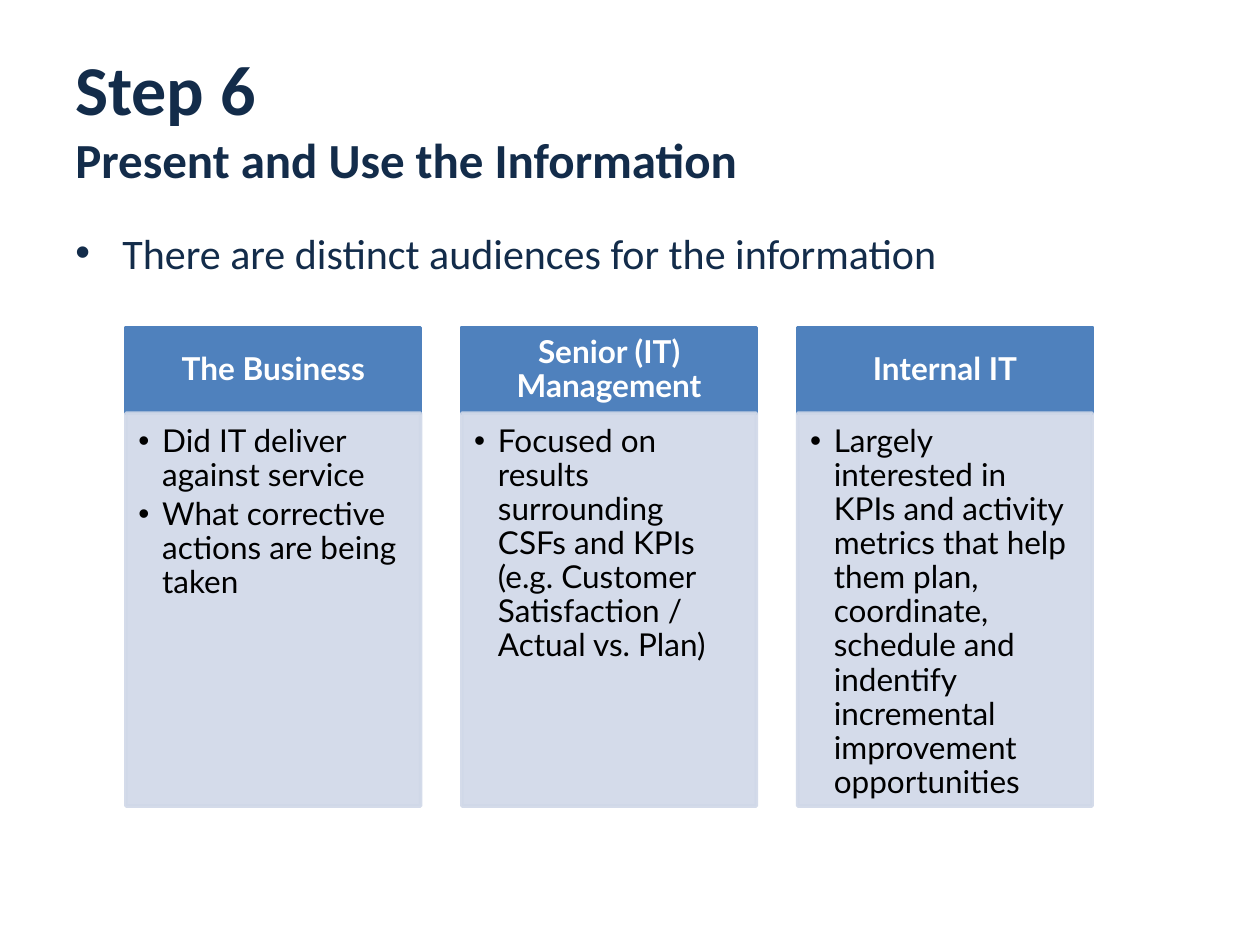
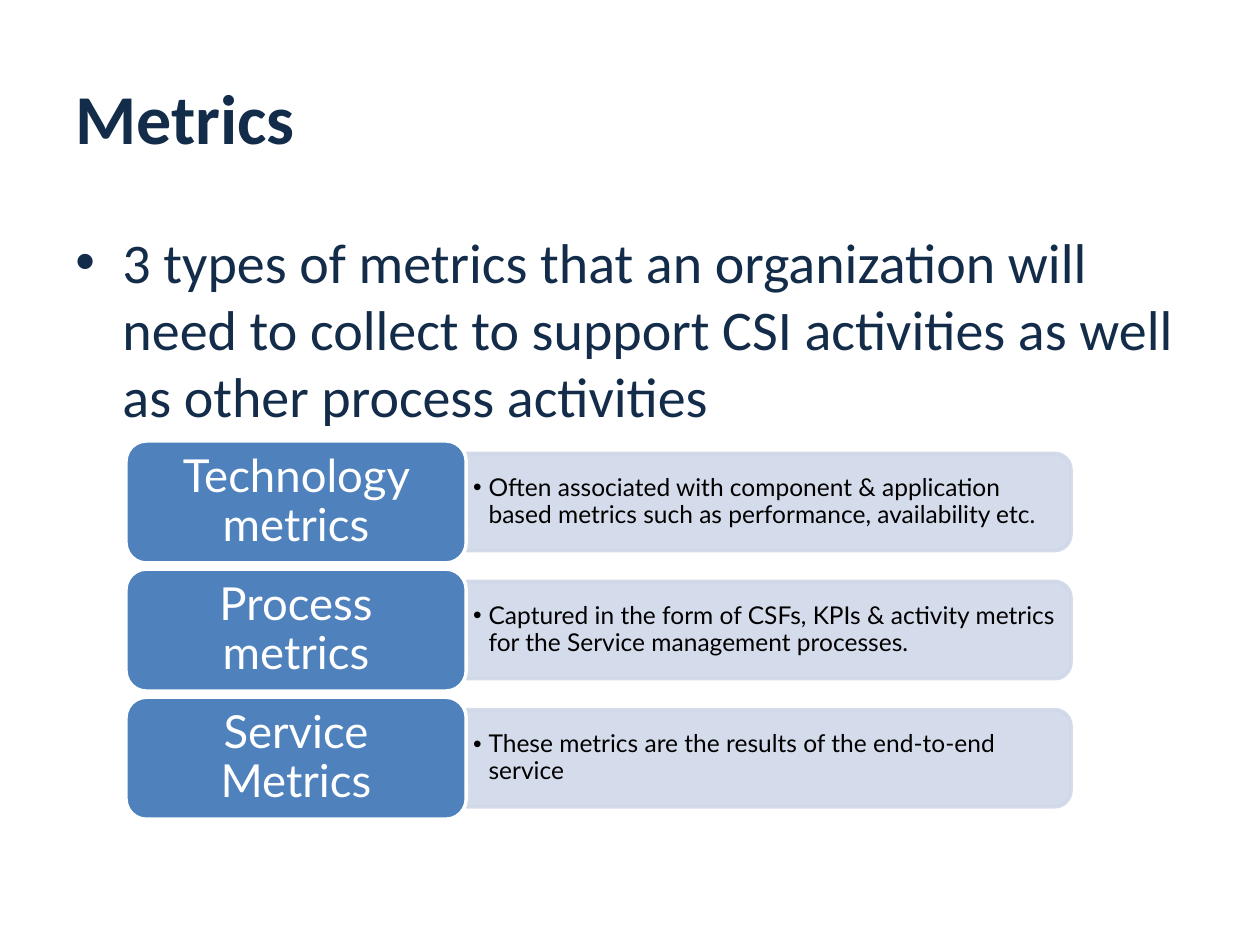
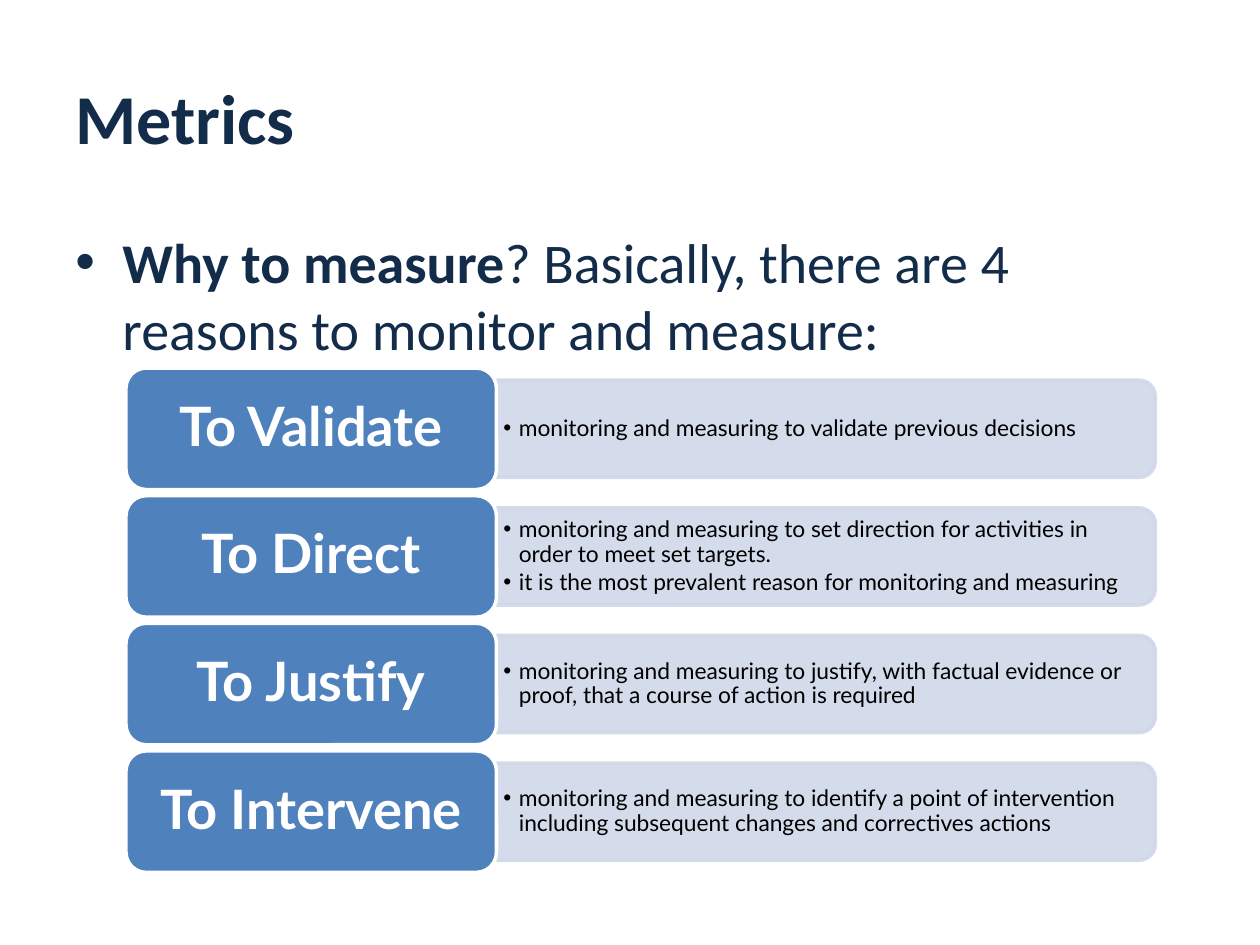
import pptx
import pptx.util
import pptx.dml.color
import pptx.enum.shapes
import pptx.enum.text
import pptx.oxml.ns
from lxml import etree

Cm = pptx.util.Cm
Pt = pptx.util.Pt
SHAPES = pptx.enum.shapes.MSO_SHAPE
ALIGN = pptx.enum.text.PP_ALIGN
ANCHOR = pptx.enum.text.MSO_ANCHOR
qn = pptx.oxml.ns.qn

NAVY, BLUE, PALE, WHITE, BLACK = "132C4A", "4F81BD", "D0D8E8", "FFFFFF", "000000"
HEADING_FONT, DIAGRAM_FONT = "Calibri", "Lato"
DIAGRAM_LEFT = 2.54

AUDIENCES = [
    ("The Business", ["Did IT deliver against service",
                      "What corrective actions are being taken"]),
    ("Senior (IT) Management", ["Focused on results surrounding CSFs and KPIs "
                                "(e.g. Customer Satisfaction / Actual vs. Plan)"]),
    ("Internal IT", ["Largely interested in KPIs and activity metrics that help them plan, coordinate, "
                     "schedule and indentify incremental improvement opportunities"]),
]
METRIC_TYPES = [
    ("Technology metrics", ["Often associated with component & application based metrics "
                            "such as performance, availability etc."]),
    ("Process metrics", ["Captured in the form of CSFs, KPIs & activity metrics "
                         "for the Service management processes."]),
    ("Service Metrics", ["These metrics are the results of the end-to-end service"]),
]
REASONS = [
    ("To Validate", ["monitoring and measuring to validate previous decisions"]),
    ("To Direct", ["monitoring and measuring to set direction for activities in order to meet set targets.",
                   "it is the most prevalent reason for monitoring and measuring"]),
    ("To Justify", ["monitoring and measuring to justify, with factual evidence or proof, "
                    "that a course of action is required"]),
    ("To Intervene", ["monitoring and measuring to identify a point of intervention "
                      "including subsequent changes and correctives actions"]),
]


def paint(color_format, color, opacity=100):
    color_format.solid()
    color_format.fore_color.rgb = pptx.dml.color.RGBColor.from_string(color)
    if opacity < 100:
        for tone in color_format._xPr.iter(qn("a:srgbClr")):
            etree.SubElement(tone, qn("a:alpha"), val=str(opacity * 1000))


def add_panel(slide, kind, left, top, width, height, fill, line, opacity=100):
    panel = slide.shapes.add_shape(kind, Cm(left), Cm(top), Cm(width), Cm(height))
    panel.shadow.inherit = False
    panel.line.width = Pt(2)
    paint(panel.fill, fill, opacity)
    paint(panel.line.fill, line, opacity)
    return panel


def add_text_area(slide, left, top, width, height):
    return slide.shapes.add_textbox(Cm(left), Cm(top), Cm(width), Cm(height))


def add_bullet(paragraph, indent):
    properties = paragraph._p.get_or_add_pPr()
    properties.set("marL", str(Cm(indent)))
    properties.set("indent", str(-Cm(indent)))
    etree.SubElement(properties, qn("a:buFont"), typeface="Arial")
    etree.SubElement(properties, qn("a:buChar"), char="•")


def write(holder, paragraphs, size, font=DIAGRAM_FONT, color=BLACK, bold=False, align=ALIGN.LEFT,
          anchor=ANCHOR.TOP, insets=(0.25, 0.13, 0.25, 0.13), spacing=None, after=0, indent=None):
    frame = holder.text_frame
    frame.word_wrap = True
    frame.vertical_anchor = anchor
    frame.margin_left, frame.margin_top, frame.margin_right, frame.margin_bottom = map(Cm, insets)
    for index, runs in enumerate(paragraphs):
        paragraph = frame.add_paragraph() if index else frame.paragraphs[0]
        paragraph.alignment = align
        if spacing:
            paragraph.line_spacing = spacing
        if after:
            paragraph.space_after = Pt(after)
        if indent:
            add_bullet(paragraph, indent)
        for piece in [(runs, {})] if isinstance(runs, str) else runs:
            words, changes = piece
            if words == "\n":
                paragraph.add_line_break()
                continue
            run = paragraph.add_run()
            run.text = words
            run.font.name = font
            run.font.size = Pt(changes.get("size", size))
            run.font.bold = changes.get("bold", bold)
            paint(run.font.fill, color)


def start_slide(deck, title, lead, lead_size):
    slide = deck.slides.add_slide(deck.slide_layouts[6])
    write(add_text_area(slide, 1.27, 0.76, 22.86, 3.18), [title], 40, font=HEADING_FONT,
          color=NAVY, bold=True, anchor=ANCHOR.MIDDLE)
    write(add_text_area(slide, 1.27, 4.45, 22.86, 12.07), [lead], lead_size, font=HEADING_FONT,
          color=NAVY, indent=0.95)
    return slide


def add_audience_columns(slide, audiences):
    width, pitch = 5.94, 6.77
    top, header_height, body_height = 6.6, 1.73, 7.92
    for column, (audience, interests) in enumerate(audiences):
        left = DIAGRAM_LEFT + column * pitch
        header = add_panel(slide, SHAPES.RECTANGLE, left, top, width, header_height, BLUE, BLUE)
        write(header, [audience], 18, color=WHITE, bold=True, align=ALIGN.CENTER,
              anchor=ANCHOR.MIDDLE, insets=(0.36, 0.2, 0.36, 0.2), spacing=0.9)
        body = add_panel(slide, SHAPES.RECTANGLE, left, top + header_height, width, body_height,
                         PALE, PALE, 90)
        write(body, interests, 18, insets=(0.25, 0.25, 0.36, 0.41), spacing=0.9, after=2.5, indent=0.48)


def add_label_rows(slide, rows, top, label_width, label_height, detail_width,
                   label_size, detail_size, bold=False):
    detail_height = 1.96
    detail_left = DIAGRAM_LEFT + label_width
    for row, (label, details) in enumerate(rows):
        label_top = top + row * label_height * 1.05
        middle = label_top + label_height / 2
        band = add_panel(slide, SHAPES.ROUND_2_SAME_RECTANGLE,
                         detail_left + (detail_width - detail_height) / 2, middle - detail_width / 2,
                         detail_height, detail_width, PALE, PALE, 90)
        band.rotation = 90
        write(add_text_area(slide, detail_left, middle - 0.89, detail_width - 0.1, 1.78), details,
              detail_size, anchor=ANCHOR.MIDDLE, insets=(0.14, 0.08, 0.14, 0.08),
              spacing=0.9, after=2, indent=0.31)
        tab = add_panel(slide, SHAPES.ROUNDED_RECTANGLE, DIAGRAM_LEFT, label_top,
                        label_width, label_height, BLUE, WHITE)
        write(tab, [label], label_size, color=WHITE, bold=bold, align=ALIGN.CENTER,
              anchor=ANCHOR.MIDDLE, insets=(0.28, 0.14, 0.28, 0.14), spacing=0.9)


def main():
    deck = pptx.Presentation()
    deck.slide_width, deck.slide_height = Cm(25.4), Cm(19.05)

    step = start_slide(deck, [("Step 6", {}), ("\n", {}), ("Present and Use the Information", {"size": 28})],
                       "There are distinct audiences for the information", 24)
    add_audience_columns(step, AUDIENCES)

    types = start_slide(deck, "Metrics", "3 types of metrics that an organization will need to collect "
                        "to support CSI activities as well as other process activities", 32)
    add_label_rows(types, METRIC_TYPES, 8.89, 6.86, 2.46, 12.19, 26, 14)

    reasons = start_slide(deck, "Metrics", [("Why to measure", {"bold": True}),
                          ("? Basically, there are 4 reasons to monitor and measure:", {})], 32)
    add_label_rows(reasons, REASONS, 7.42, 7.47, 2.45, 13.28, 31, 13, bold=True)

    deck.save("out.pptx")


if __name__ == "__main__":
    main()
